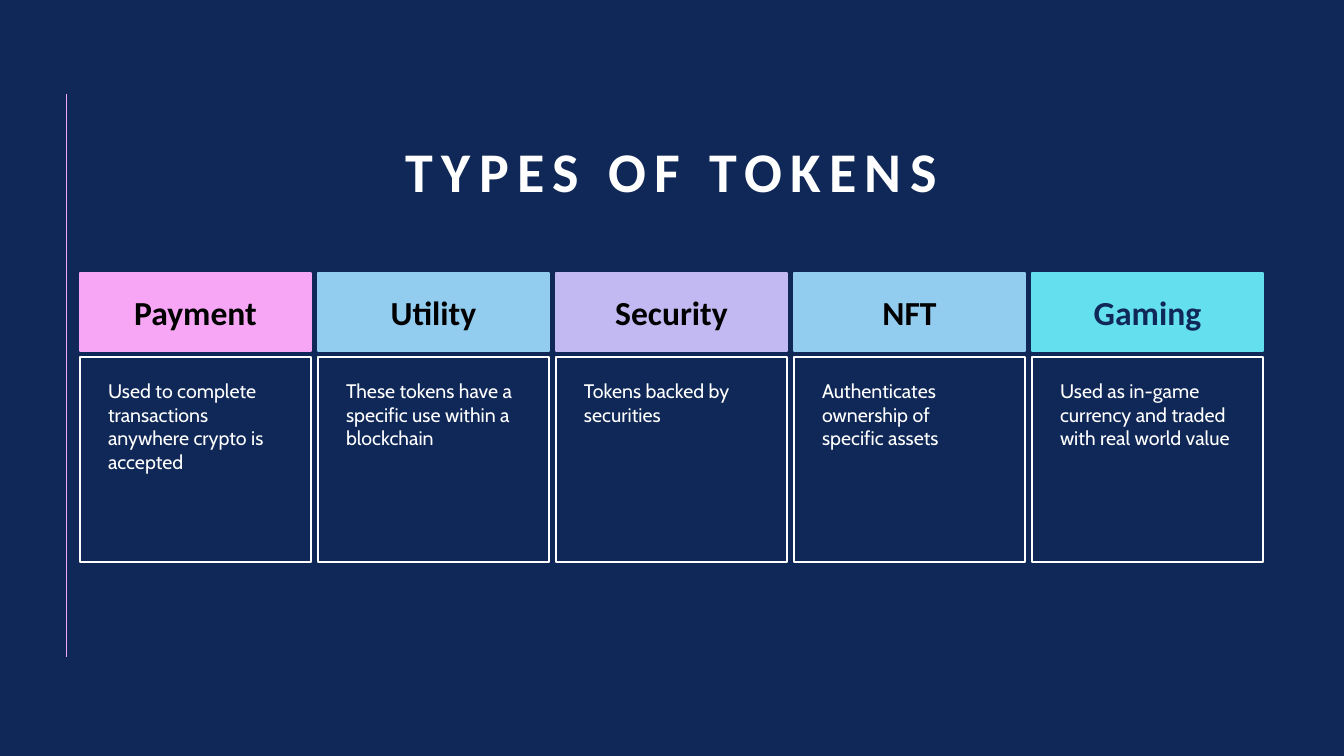
from dataclasses import dataclass

from lxml import etree
from pptx import Presentation
from pptx.dml.color import RGBColor
from pptx.enum.shapes import MSO_CONNECTOR, MSO_SHAPE
from pptx.enum.text import MSO_ANCHOR, MSO_AUTO_SIZE, PP_ALIGN
from pptx.oxml.ns import qn
from pptx.shapes.autoshape import Shape
from pptx.slide import Slide
from pptx.util import Emu, Pt

RECTANGLE = MSO_SHAPE.RECTANGLE
STRAIGHT = MSO_CONNECTOR.STRAIGHT
TOP, MIDDLE, BOTTOM = MSO_ANCHOR.TOP, MSO_ANCHOR.MIDDLE, MSO_ANCHOR.BOTTOM
LEFT, CENTER = PP_ALIGN.LEFT, PP_ALIGN.CENTER
NO_AUTOFIT = MSO_AUTO_SIZE.NONE

NAVY = RGBColor(0x10, 0x28, 0x57)
WHITE = RGBColor(0xFF, 0xFF, 0xFF)
BLACK = RGBColor(0x00, 0x00, 0x00)
PINK = RGBColor(0xF6, 0xA6, 0xF4)
BLUE = RGBColor(0x92, 0xCD, 0xF0)
LILAC = RGBColor(0xC3, 0xB9, 0xF2)
CYAN = RGBColor(0x64, 0xDF, 0xED)

HEADING_FONT = "Calibri"
BODY_FONT = "Cabin"

SLIDE_WIDTH, SLIDE_HEIGHT = 1344, 756
EMU_PER_PX = 12192000 / SLIDE_WIDTH

COLUMN_LEFT, COLUMN_PITCH, COLUMN_WIDTH = 80, 238, 231
HEADER_TOP, HEADER_HEIGHT = 273, 78
DETAIL_TOP, DETAIL_HEIGHT = 357, 205
DETAIL_MARGINS = (28, 22, 30, 5)


@dataclass(frozen=True)
class Token:
    name: str
    description: str
    color: RGBColor
    name_color: RGBColor = BLACK


TOKENS = [
    Token("Payment", "Used to complete transactions anywhere crypto is accepted", PINK),
    Token("Utility", "These tokens have a specific use within a blockchain", BLUE),
    Token("Security", "Tokens backed by securities", LILAC),
    Token("NFT", "Authenticates ownership of specific assets", BLUE),
    Token("Gaming", "Used as in-game currency and traded with real world value", CYAN, NAVY),
]


def px(length: int) -> Emu:
    return Emu(round(length * EMU_PER_PX))


def write_text(shape: Shape, text: str, font_name: str, size: int, color: RGBColor,
               bold: bool, alignment: PP_ALIGN, anchor: MSO_ANCHOR) -> None:
    text_frame = shape.text_frame
    text_frame.text = text
    text_frame.word_wrap = True
    text_frame.auto_size = NO_AUTOFIT
    text_frame.vertical_anchor = anchor
    paragraph = text_frame.paragraphs[0]
    paragraph.alignment = alignment
    font = paragraph.runs[0].font
    font.name = font_name
    font.size = Pt(size)
    font.bold = bold
    font.color.rgb = color


def add_title(slide: Slide) -> None:
    title = slide.shapes.title
    title.left, title.top, title.width, title.height = px(182), px(92), px(979), px(118)
    write_text(title, "TYPES OF TOKENS", HEADING_FONT, 40, WHITE, True, CENTER, BOTTOM)
    paragraph = title.text_frame.paragraphs[0]
    paragraph.line_spacing = 0.9
    paragraph.runs[0].font._element.set("spc", "600")


def add_side_line(slide: Slide) -> None:
    line = slide.shapes.add_connector(STRAIGHT, px(66), px(94), px(66), px(657))
    line.line.color.rgb = PINK
    line.line.width = Pt(0.5)
    etree.SubElement(line._element.spPr, qn("a:effectLst"))


def add_box(slide: Slide, left: int, top: int, height: int, line_color: RGBColor) -> Shape:
    box = slide.shapes.add_shape(RECTANGLE, px(left), px(top), px(COLUMN_WIDTH), px(height))
    box.shadow.inherit = False
    box.fill.background()
    box.line.color.rgb = line_color
    box.line.width = Pt(1)
    return box


def add_token(slide: Slide, token: Token, left: int) -> None:
    header = add_box(slide, left, HEADER_TOP, HEADER_HEIGHT, token.color)
    header.fill.solid()
    header.fill.fore_color.rgb = token.color
    write_text(header, token.name, HEADING_FONT, 24, token.name_color, True, CENTER, MIDDLE)

    detail = add_box(slide, left, DETAIL_TOP, DETAIL_HEIGHT, WHITE)
    write_text(detail, token.description, BODY_FONT, 14, WHITE, False, LEFT, TOP)
    text_frame = detail.text_frame
    (text_frame.margin_left, text_frame.margin_top,
     text_frame.margin_right, text_frame.margin_bottom) = map(px, DETAIL_MARGINS)


def main() -> None:
    presentation = Presentation()
    presentation.slide_width = px(SLIDE_WIDTH)
    presentation.slide_height = px(SLIDE_HEIGHT)
    title_only = presentation.slide_layouts[5]
    slide = presentation.slides.add_slide(title_only)
    slide.background.fill.solid()
    slide.background.fill.fore_color.rgb = NAVY
    add_side_line(slide)
    add_title(slide)
    for column, token in enumerate(TOKENS):
        add_token(slide, token, COLUMN_LEFT + column * COLUMN_PITCH)
    presentation.save("out.pptx")


if __name__ == "__main__":
    main()
